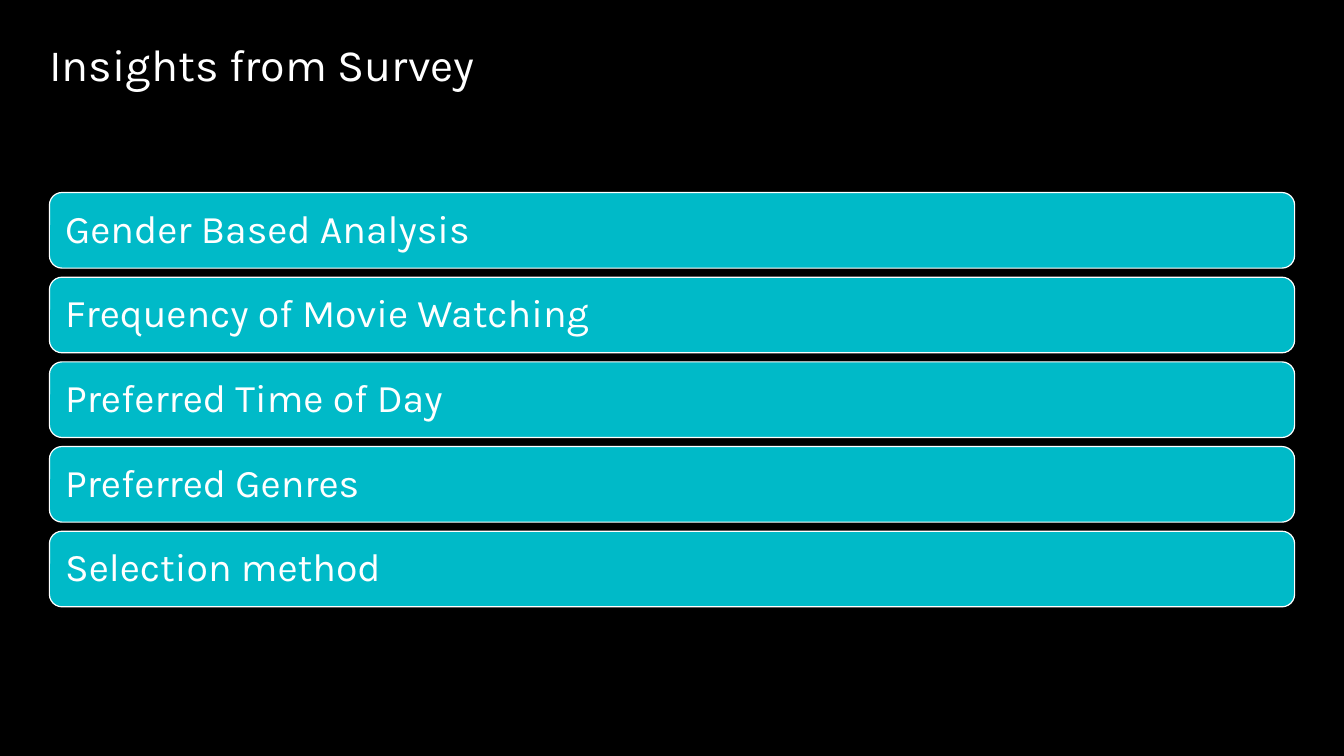
from pptx import Presentation
from pptx.dml.color import RGBColor
from pptx.enum.shapes import MSO_SHAPE
from pptx.enum.text import MSO_ANCHOR, PP_ALIGN
from pptx.util import Inches, Pt


def color(hex_string):
    return RGBColor.from_string(hex_string)


def format_text(shape, text, size, anchor, margin):
    frame = shape.text_frame
    frame.text = text
    frame.word_wrap = True
    frame.vertical_anchor = anchor
    frame.margin_left = frame.margin_right = Inches(margin)
    frame.margin_top = frame.margin_bottom = Inches(margin)
    paragraph = frame.paragraphs[0]
    paragraph.alignment = PP_ALIGN.LEFT
    paragraph.line_spacing = 0.9
    paragraph.font.name = "Karla"
    paragraph.font.size = Pt(size)
    paragraph.font.color.rgb = color("FFFFFF")


presentation = Presentation()
presentation.slide_width = Inches(13.33)
presentation.slide_height = Inches(7.5)

# Slide with a black background
slide = presentation.slides.add_slide(presentation.slide_layouts[5])
slide.background.fill.solid()
slide.background.fill.fore_color.rgb = color("000000")

# Title
title = slide.shapes.title
title.left, title.top = Inches(0.49), Inches(0.42)
title.width, title.height = Inches(12.36), Inches(1.25)
format_text(title, "Insights from Survey", 32, MSO_ANCHOR.TOP, 0)

# Stacked insight bars
insights = [
    "Gender Based Analysis",
    "Frequency of Movie Watching",
    "Preferred Time of Day",
    "Preferred Genres",
    "Selection method",
]
first_top, bar_pitch = 1.91, 0.84
for index, insight in enumerate(insights):
    bar = slide.shapes.add_shape(
        MSO_SHAPE.ROUNDED_RECTANGLE,
        Inches(0.49), Inches(first_top + index * bar_pitch),
        Inches(12.35), Inches(0.75),
    )
    bar.shadow.inherit = False
    bar.fill.solid()
    bar.fill.fore_color.rgb = color("00BAC8")
    bar.line.color.rgb = color("FFFFFF")
    bar.line.width = Pt(0.85)
    format_text(bar, insight, 28, MSO_ANCHOR.MIDDLE, 0.12)

presentation.save("out.pptx")
